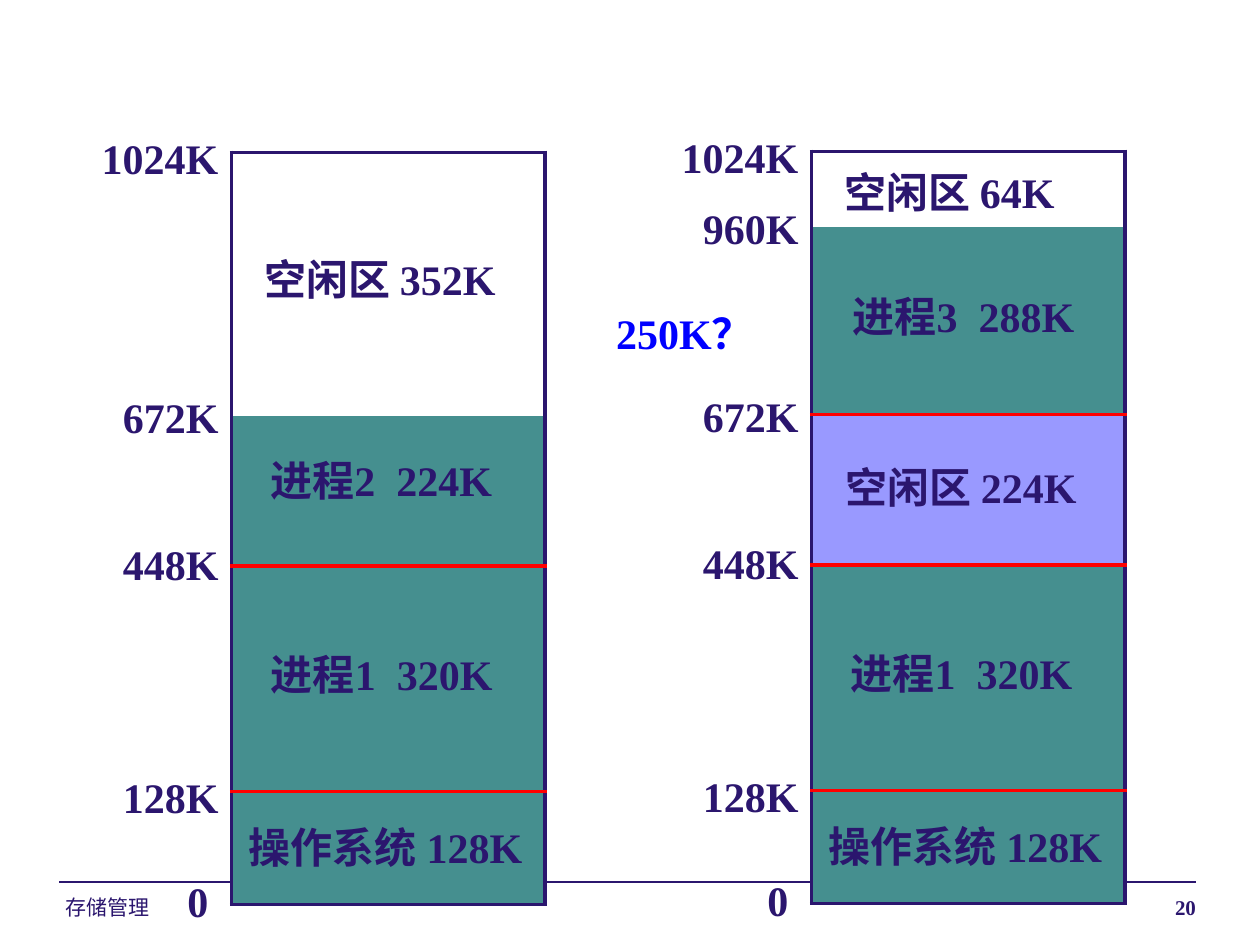
from dataclasses import dataclass
from typing import Optional

from lxml import etree
from pptx import Presentation
from pptx import util as u
from pptx.dml.color import RGBColor
from pptx.enum import shapes, text
from pptx.oxml.ns import qn

Cm, Pt = u.Cm, u.Pt


@dataclass(frozen=True)
class Theme:
    ink: str = "2B166E"
    used: str = "458F8F"
    freed: str = "9999FF"
    divider: str = "FF0000"
    request: str = "0000FF"
    body_font: str = "Times New Roman"
    footer_font: str = "Arial"
    body_size: float = 24
    footer_size: float = 12
    rule_width: float = 0.75
    border_width: float = 2.25


@dataclass(frozen=True)
class Block:
    """A memory region; offsets are in cm from the top left of its map."""
    rows: int
    fill: Optional[str]
    caption: str
    left: float
    top: float
    width: float
    address: str
    address_top: float


T = Theme()
MAP_WIDTH, MAP_HEIGHT, TEXT_HEIGHT = 6.32, 15.16, 1.27
ADDRESS_WIDTHS = {1: 0.94, 4: 2.44, 5: 2.87}
NO_TABLE_STYLE = "{2D5ABB26-0587-4C30-8999-92F81FD0307C}"

SYSTEM = Block(3, T.used, "操作系统 128K", 0.1, 13.36, 6.9, "128K", 12.35)
PROCESS_1 = Block(6, T.used, "进程1  320K", 0.54, 9.88, 5.61, "448K", 7.67)
BEFORE = [
    Block(7, None, "空闲区 352K", 0.41, 1.91, 5.74, "1024K", -0.53),
    Block(4, T.used, "进程2  224K", 0.53, 5.97, 5.61, "672K", 4.7),
    PROCESS_1,
    SYSTEM,
]
AFTER = [
    Block(2, None, "空闲区 64K", 0.41, 0.18, 5.74, "1024K", -0.53),
    Block(5, T.used, "进程3  288K", 0.58, 2.69, 5.59, "960K", 0.91),
    Block(4, T.freed, "空闲区 224K", 0.43, 6.12, 5.74, "672K", 4.7),
    PROCESS_1,
    SYSTEM,
]


def add_text(s, content: str, left: float, top: float, width: float,
             height: float = TEXT_HEIGHT, *, size: float = T.body_size,
             font: str = T.body_font, color: str = T.ink, bold: bool = True,
             align=text.PP_ALIGN.LEFT, wrap: bool = True) -> None:
    sp = s.shapes.add_textbox(Cm(left), Cm(top), Cm(width), Cm(height))
    tf = sp.text_frame
    tf.word_wrap = wrap
    p = tf.paragraphs[0]
    p.alignment = align
    r = p.add_run()
    r.text = content
    r.font.name, r.font.size, r.font.bold = font, Pt(size), bold
    r.font.color.rgb = RGBColor.from_string(color)


def set_borders(cell, **colors: Optional[str]) -> None:
    """Draw the edges named L, R, T and B; None leaves an edge clear."""
    tc_pr = cell._tc.get_or_add_tcPr()
    for i, edge in enumerate("LRTB"):
        color = colors[edge]
        ln = etree.Element(qn(f"a:ln{edge}"))
        if color:
            ln.set("w", str(Pt(T.border_width)))
            fill = etree.SubElement(ln, qn("a:solidFill"))
            etree.SubElement(fill, qn("a:srgbClr")).set("val", color)
        else:
            etree.SubElement(ln, qn("a:noFill"))
        tc_pr.insert(i, ln)


def add_grid(s, blocks: list[Block], left: float, top: float) -> None:
    count = sum(b.rows for b in blocks)
    frame = s.shapes.add_table(count, 1, Cm(left), Cm(top),
                               Cm(MAP_WIDTH), Cm(MAP_HEIGHT))
    table = frame.table
    table.first_row = table.horz_banding = False
    frame._element.find(".//" + qn("a:tableStyleId")).text = NO_TABLE_STYLE
    fills = [b.fill for b in blocks for _ in range(b.rows)]

    # Edge colour above each row; the top free area has no divider below it.
    edges: list[Optional[str]] = [None] * (count + 1)
    edges[0] = edges[count] = T.ink
    end = blocks[0].rows
    for block in blocks[1:-1]:
        end += block.rows
        edges[end] = T.divider

    for i, fill in enumerate(fills):
        table.rows[i].height = Cm(MAP_HEIGHT / count)
        cell = table.cell(i, 0)
        cell.margin_top = cell.margin_bottom = 0
        end_pr = cell.text_frame.paragraphs[0]._p.get_or_add_endParaRPr()
        end_pr.set("sz", "1000")
        if fill:
            cell.fill.solid()
            cell.fill.fore_color.rgb = RGBColor.from_string(fill)
        else:
            cell.fill.background()
        set_borders(cell, L=T.ink, R=T.ink, T=edges[i], B=edges[i + 1])


def add_address(s, address: str, right: float, top: float) -> None:
    width = ADDRESS_WIDTHS[len(address)]
    add_text(s, address, right - width, top, width, wrap=False)


def add_memory_map(s, blocks: list[Block], left: float, top: float) -> None:
    add_grid(s, blocks, left, top)
    for b in blocks:
        add_text(s, b.caption, left + b.left, top + b.top, b.width)
        add_address(s, b.address, left, top + b.address_top)
    add_address(s, "0", left - 0.2, top + 14.46)


def add_footer(s) -> None:
    rule = s.shapes.add_connector(shapes.MSO_CONNECTOR.STRAIGHT,
                                  Cm(1.19), Cm(17.78), Cm(24.1), Cm(17.78))
    rule.line.color.rgb = RGBColor.from_string(T.ink)
    rule.line.width = Pt(T.rule_width)
    etree.SubElement(rule._element.spPr, qn("a:effectLst"))
    add_text(s, "存储管理", 1.07, 17.91, 5.92, 0.61, size=T.footer_size,
             font=T.footer_font, bold=False)
    add_text(s, "20", 16.31, 17.91, 8.05, 0.61, size=T.footer_size,
             align=text.PP_ALIGN.RIGHT)


def main() -> None:
    prs = Presentation()
    prs.slide_width, prs.slide_height = Cm(25.4), Cm(19.05)
    s = prs.slides.add_slide(prs.slide_layouts[6])
    add_footer(s)
    add_memory_map(s, BEFORE, 4.67, 3.07)
    add_memory_map(s, AFTER, 16.36, 3.05)
    add_text(s, "250K？", 12.17, 6.07, 3.3, color=T.request)
    prs.save("out.pptx")


if __name__ == "__main__":
    main()
